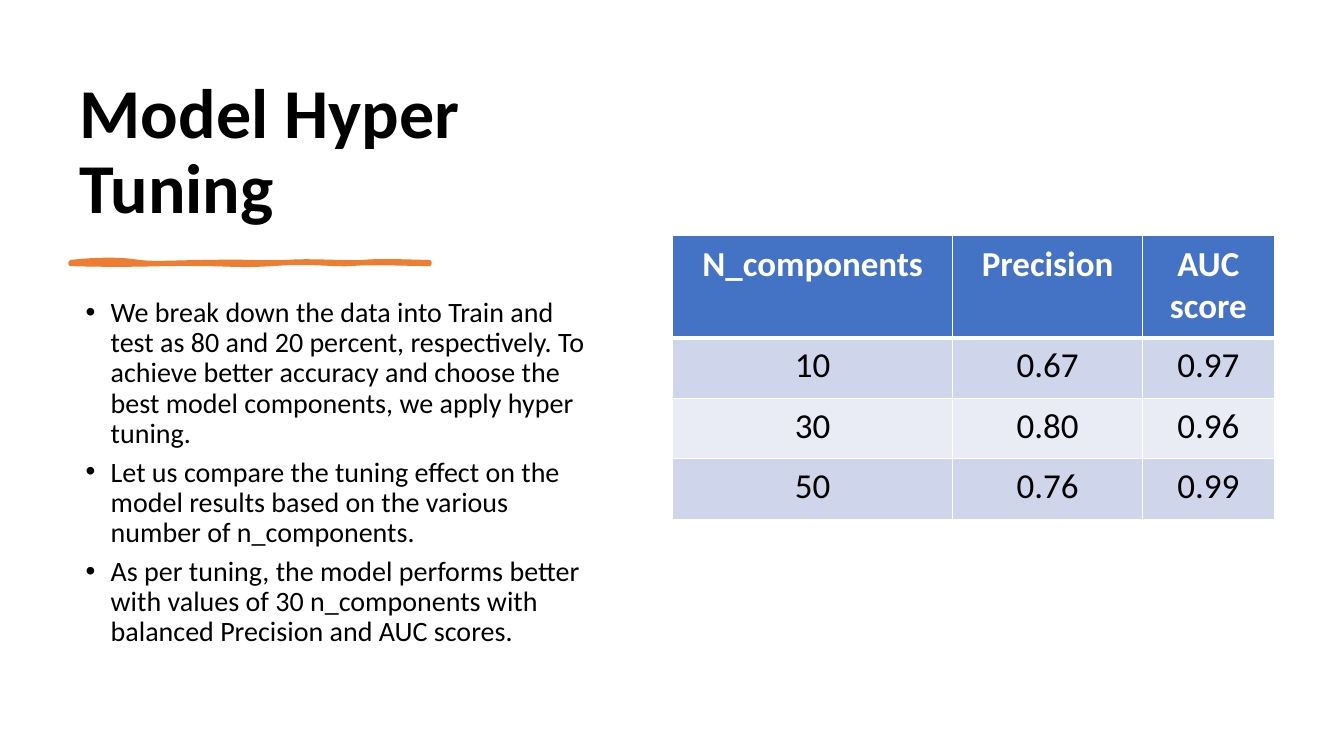
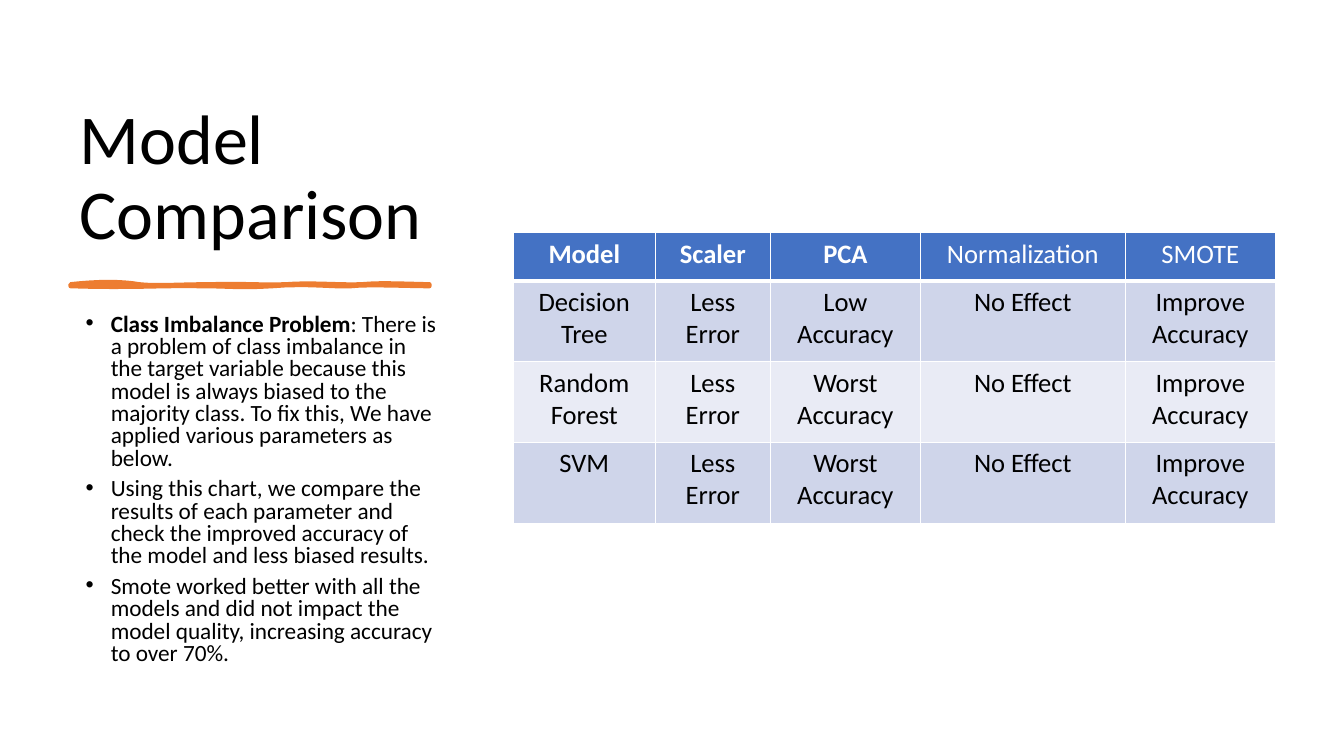
from dataclasses import dataclass
from typing import Any

from lxml.etree import SubElement
from pptx import Presentation
from pptx.dml.color import RGBColor
from pptx.enum.text import MSO_ANCHOR, MSO_AUTO_SIZE, PP_ALIGN
from pptx.oxml.ns import qn
from pptx.presentation import Presentation as Deck
from pptx.slide import Slide
from pptx.util import Inches, Pt


@dataclass(frozen=True)
class Theme:
    font: str = "Calibri"
    text: str = "000000"
    paper: str = "FFFFFF"
    accent: str = "ED7D31"
    header: str = "4472C4"
    bands: tuple[str, str] = ("CFD5EA", "E9EBF5")
    title_size: float = 50
    rule_width: float = 3
    border_width: float = 1
    header_border_width: float = 3


@dataclass(frozen=True)
class Span:
    text: str
    bold: bool = False


@dataclass(frozen=True)
class Grid:
    left: float
    top: float
    columns: tuple[float, ...]
    header_height: float
    row_height: float
    margins: tuple[float, float]
    size: float
    bold_headers: int
    rows: tuple[tuple[str, ...], ...]


@dataclass(frozen=True)
class Page:
    title: Span
    title_height: float
    column_width: float
    rule_top: float
    body_top: float
    body_height: float
    body_size: float
    line_spacing: float
    bullets: tuple[tuple[Span, ...], ...]
    grid: Grid


THEME = Theme()
COLUMN_LEFT = 0.69
TITLE_TOP = 0.7
RULE_START = (0.7, 0)
RULE_CURVES = (
    ((0.97, -0.03), (1.21, -0.03), (1.38, 0)),
    ((1.55, 0.02), (1.77, 0), (2.09, 0)),
    ((2.41, -0.01), (2.6, 0.01), (2.84, 0)),
    ((3.08, -0.02), (3.39, 0.01), (3.59, 0)),
    ((3.79, -0.02), (4.12, 0), (4.26, 0)),
    ((4.26, 0), (4.26, 0.01), (4.26, 0.02)),
    ((4.08, 0.02), (3.64, 0), (3.48, 0.02)),
    ((3.32, 0.03), (3.04, -0.01), (2.7, 0.02)),
    ((2.35, 0.04), (2.31, 0.02), (1.99, 0.02)),
    ((1.66, 0.01), (1.32, 0.04), (0.7, 0.02)),
)
CURVE_STEPS = 8

PAGES = (
    Page(
        title=Span("Model Hyper Tuning", True),
        title_height=1.62,
        column_width=5.27,
        rule_top=2.6,
        body_top=2.91,
        body_height=3.88,
        body_size=20,
        line_spacing=0.9,
        bullets=(
            (Span("We break down the data into Train and test as 80 and 20 percent, "
                  "respectively. To achieve better accuracy and choose the best model "
                  "components, we apply hyper tuning."),),
            (Span("Let us compare the tuning effect on the model results based on "
                  "the various number of n_components."),),
            (Span("As per tuning, the model performs better with values of 30 "
                  "n_components with balanced Precision and AUC scores."),),
        ),
        grid=Grid(
            left=6.67,
            top=2.34,
            columns=(2.78, 1.88, 1.31),
            header_height=1.01,
            row_height=0.6,
            margins=(0.14, 0.07),
            size=25,
            bold_headers=3,
            rows=(
                ("N_components", "Precision", "AUC score"),
                ("10", "0.67", "0.97"),
                ("30", "0.80", "0.96"),
                ("50", "0.76", "0.99"),
            ),
        ),
    ),
    Page(
        title=Span("Model Comparison"),
        title_height=1.88,
        column_width=3.75,
        rule_top=2.82,
        body_top=3.07,
        body_height=3.73,
        body_size=16.6,
        line_spacing=0.8,
        bullets=(
            (Span("Class Imbalance Problem", True),
             Span(": There is a problem of class imbalance in the target variable "
                  "because this model is always biased to the majority class. To fix "
                  "this, We have applied various parameters as below.")),
            (Span("Using this chart, we compare the results of each parameter and "
                  "check the improved accuracy of the model and less biased results."),),
            (Span("Smote worked better with all the models and did not impact the "
                  "model quality, increasing accuracy to over 70%."),),
        ),
        grid=Grid(
            left=5.09,
            top=2.31,
            columns=(1.41, 1.14, 1.49, 2.03, 1.49),
            header_height=0.48,
            row_height=0.8,
            margins=(0.11, 0.05),
            size=19,
            bold_headers=3,
            rows=(
                ("Model", "Scaler", "PCA", "Normalization", "SMOTE"),
                ("Decision Tree", "Less Error", "Low Accuracy", "No Effect", "Improve Accuracy"),
                ("Random Forest", "Less Error", "Worst Accuracy", "No Effect", "Improve Accuracy"),
                ("SVM", "Less Error", "Worst Accuracy", "No Effect", "Improve Accuracy"),
            ),
        ),
    ),
)


def apply_format(target: Any, values: dict[str, Any]) -> None:
    for name, value in values.items():
        setattr(target, name, value)


def add_span(para: Any, span: Span, size: float, color: str = THEME.text) -> None:
    run = para.add_run()
    run.text = span.text
    apply_format(run.font, {"name": THEME.font, "size": Pt(size), "bold": span.bold})
    run.font.color.rgb = RGBColor.from_string(color)


def add_title(slide: Slide, page: Page) -> None:
    title = slide.shapes.title
    apply_format(title, {
        "left": Inches(COLUMN_LEFT),
        "top": Inches(TITLE_TOP),
        "width": Inches(page.column_width),
        "height": Inches(page.title_height),
    })
    apply_format(title.text_frame, {
        "word_wrap": True,
        "auto_size": MSO_AUTO_SIZE.NONE,
        "vertical_anchor": MSO_ANCHOR.BOTTOM,
    })
    para = title.text_frame.paragraphs[0]
    apply_format(para, {"alignment": PP_ALIGN.LEFT, "line_spacing": 0.9})
    add_span(para, page.title, THEME.title_size)


def rule_points(top: float) -> list[tuple[int, int]]:
    points = []
    start = RULE_START
    for first, second, end in RULE_CURVES:
        for step in range(1, CURVE_STEPS + 1):
            t = step / CURVE_STEPS
            weights = ((1 - t) ** 3, 3 * t * (1 - t) ** 2, 3 * t * t * (1 - t), t ** 3)
            x, y = (
                sum(weight * point[axis]
                    for weight, point in zip(weights, (start, first, second, end)))
                for axis in (0, 1)
            )
            points.append((Inches(x), Inches(top + y)))
        start = end
    return points


def add_rule(slide: Slide, top: float) -> None:
    builder = slide.shapes.build_freeform(Inches(RULE_START[0]), Inches(top))
    builder.add_line_segments(rule_points(top), close=True)
    rule = builder.convert_to_shape()
    rule.shadow.inherit = False
    for fill in (rule.fill, rule.line.fill):
        fill.solid()
        fill.fore_color.rgb = RGBColor.from_string(THEME.accent)
    rule.line.width = Pt(THEME.rule_width)
    SubElement(rule.line.fill._xPr, qn("a:round"))


def add_bullets(slide: Slide, page: Page) -> None:
    box = slide.shapes.add_textbox(
        Inches(COLUMN_LEFT), Inches(page.body_top),
        Inches(page.column_width), Inches(page.body_height))
    frame = box.text_frame
    apply_format(frame, {"word_wrap": True, "auto_size": MSO_AUTO_SIZE.NONE})
    for index, spans in enumerate(page.bullets):
        para = frame.add_paragraph() if index else frame.paragraphs[0]
        apply_format(para, {"line_spacing": page.line_spacing, "space_after": Pt(6)})
        properties = para._p.get_or_add_pPr()
        properties.set("marL", str(Inches(0.31)))
        properties.set("indent", str(Inches(-0.25)))
        SubElement(properties, qn("a:buFont"), typeface="Arial")
        SubElement(properties, qn("a:buChar"), char="•")
        for span in spans:
            add_span(para, span, page.body_size)


def add_borders(cell: Any, row: int) -> None:
    widths = {side: THEME.border_width for side in ("lnL", "lnR", "lnT", "lnB")}
    if row < 2:
        widths["lnT" if row else "lnB"] = THEME.header_border_width
    properties = cell._tc.get_or_add_tcPr()
    for side, width in widths.items():
        line = SubElement(properties, qn(f"a:{side}"), w=str(Pt(width)))
        fill = SubElement(line, qn("a:solidFill"))
        SubElement(fill, qn("a:srgbClr"), val=THEME.paper)


def add_grid(slide: Slide, grid: Grid) -> None:
    heights = [grid.header_height] + [grid.row_height] * (len(grid.rows) - 1)
    table = slide.shapes.add_table(
        len(grid.rows), len(grid.columns), Inches(grid.left), Inches(grid.top),
        Inches(sum(grid.columns)), Inches(sum(heights))).table
    for column, width in zip(table.columns, grid.columns):
        column.width = Inches(width)
    for row, height in zip(table.rows, heights):
        row.height = Inches(height)
    side, edge = (Inches(margin) for margin in grid.margins)
    margins = {"margin_left": side, "margin_right": side,
               "margin_top": edge, "margin_bottom": edge}
    for row, texts in enumerate(grid.rows):
        fill = THEME.bands[(row - 1) % 2] if row else THEME.header
        color = THEME.text if row else THEME.paper
        for column, text in enumerate(texts):
            cell = table.cell(row, column)
            apply_format(cell, margins)
            add_borders(cell, row)
            cell.fill.solid()
            cell.fill.fore_color.rgb = RGBColor.from_string(fill)
            para = cell.text_frame.paragraphs[0]
            para.alignment = PP_ALIGN.CENTER
            bold = row == 0 and column < grid.bold_headers
            add_span(para, Span(text, bold), grid.size, color)


def add_page(deck: Deck, page: Page) -> None:
    slide = deck.slides.add_slide(deck.slide_layouts.get_by_name("Title Only"))
    add_title(slide, page)
    add_rule(slide, page.rule_top)
    add_bullets(slide, page)
    add_grid(slide, page.grid)


def main() -> None:
    deck = Presentation()
    apply_format(deck, {"slide_width": Inches(13.33), "slide_height": Inches(7.5)})
    for page in PAGES:
        add_page(deck, page)
    deck.save("out.pptx")


if __name__ == "__main__":
    main()
